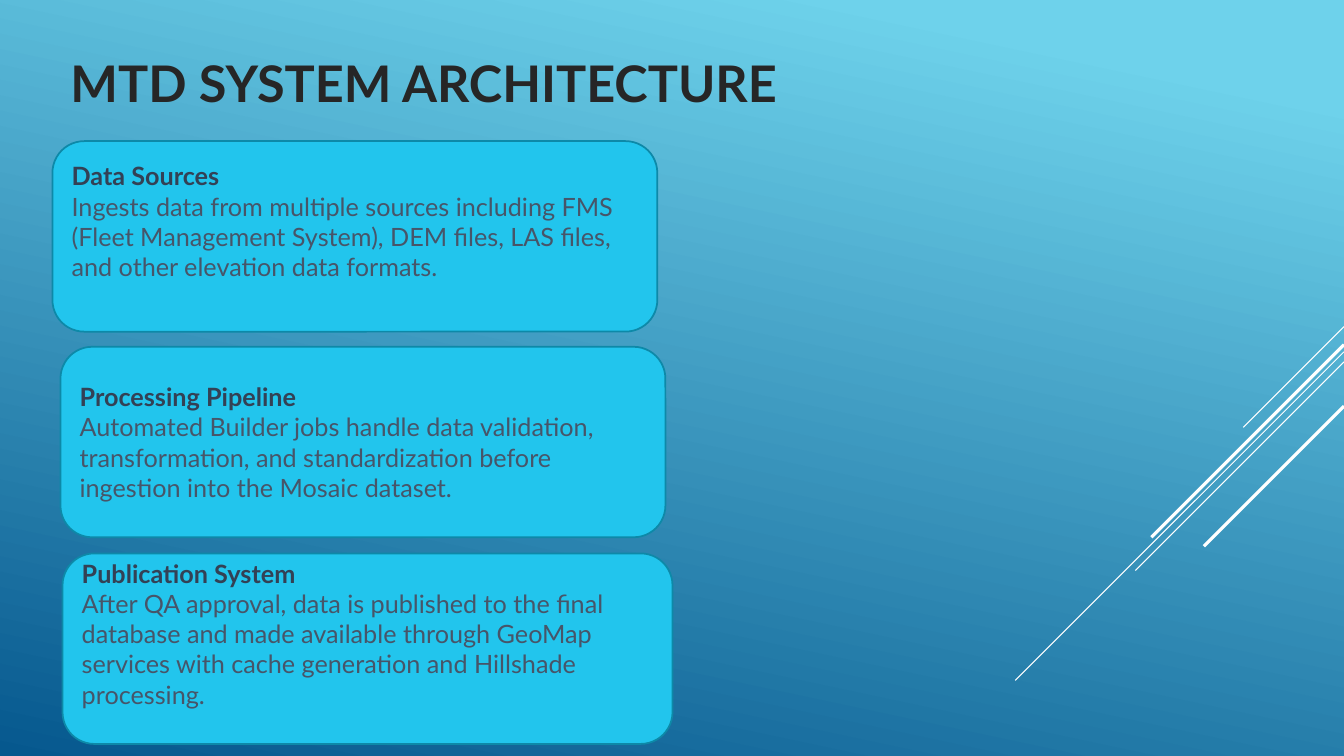
from pptx import Presentation
from pptx import util as u
from pptx.dml.color import RGBColor
from pptx.enum import shapes, text
from pptx.oxml.ns import qn
from lxml import etree

hues = {"sky": "6ED2EB", "deep": "06588E", "white": "FFFFFF", "title": "262626",
        "card": "22C5ED", "edge": "0D89A8", "head": "334155", "body": "475569"}


def tint(name):
    return RGBColor.from_string(hues[name])


def write(para, words, size, hue, bold):
    run = para.add_run()
    run.text = words
    run.font.name = "Lato"
    run.font.size = u.Pt(size)
    run.font.bold = bold
    run.font.color.rgb = tint(hue)


deck = Presentation()
deck.slide_width, deck.slide_height = u.Inches(13.33), u.Inches(7.5)
slide = deck.slides.add_slide(deck.slide_layouts[6])

back = slide.background.fill
back.gradient()
back.gradient_angle = 258
for stop, (place, hue) in zip(back.gradient_stops, [(0.1, "sky"), (1, "deep")]):
    stop.position = place
    stop.color.rgb = tint(hue)

right = 13.33
for top, run, width in [(3.24, 1, 0.75), (3.49, 3.26, 0.75), (3.59, 2.07, 0.75),
                        (3.42, 1.91, 2.25), (4.03, 1.39, 2.25)]:
    line = slide.shapes.add_connector(
        shapes.MSO_CONNECTOR.STRAIGHT, u.Inches(right), u.Inches(top),
        u.Inches(right - run), u.Inches(top + run))
    line.line.color.rgb = tint("white")
    line.line.width = u.Pt(width)
    etree.SubElement(line._element.spPr, qn("a:effectLst"))

title = slide.shapes.add_textbox(u.Inches(0.6), u.Inches(0.3), u.Inches(12.14), u.Inches(1.04))
frame = title.text_frame
frame.word_wrap = True
frame.vertical_anchor = text.MSO_ANCHOR.MIDDLE
write(frame.paragraphs[0], "MTD SYSTEM ARCHITECTURE", 36, "title", True)

cards = [
    (0.52, 1.4, 6, 0.35, "Data Sources",
     "Ingests data from multiple sources including FMS (Fleet Management System), "
     "DEM files, LAS files, and other elevation data formats."),
    (0.6, 3.44, 6, 0.05, "Processing Pipeline",
     "Automated Builder jobs handle data validation, transformation, and "
     "standardization before ingestion into the Mosaic dataset."),
    (0.62, 5.49, 6.05, 0.35, "Publication System",
     "After QA approval, data is published to the final database and made available "
     "through GeoMap services with cache generation and Hillshade processing."),
]
for left, top, width, base, head, body in cards:
    card = slide.shapes.add_shape(
        shapes.MSO_SHAPE.ROUNDED_RECTANGLE, u.Inches(left), u.Inches(top),
        u.Inches(width), u.Inches(1.89))
    card.shadow.inherit = False
    card.fill.solid()
    card.fill.fore_color.rgb = tint("card")
    card.line.color.rgb = tint("edge")
    card.line.width = u.Pt(1.25)
    frame = card.text_frame
    frame.word_wrap = True
    frame.vertical_anchor = text.MSO_ANCHOR.MIDDLE
    frame.margin_bottom = u.Inches(base)
    for para, words, hue in [(frame.paragraphs[0], head, "head"),
                             (frame.add_paragraph(), body, "body")]:
        para.alignment = text.PP_ALIGN.LEFT
        write(para, words, 18, hue, hue == "head")
    if head == "Processing Pipeline":
        frame.margin_top = u.Inches(0.05)

deck.save("out.pptx")
